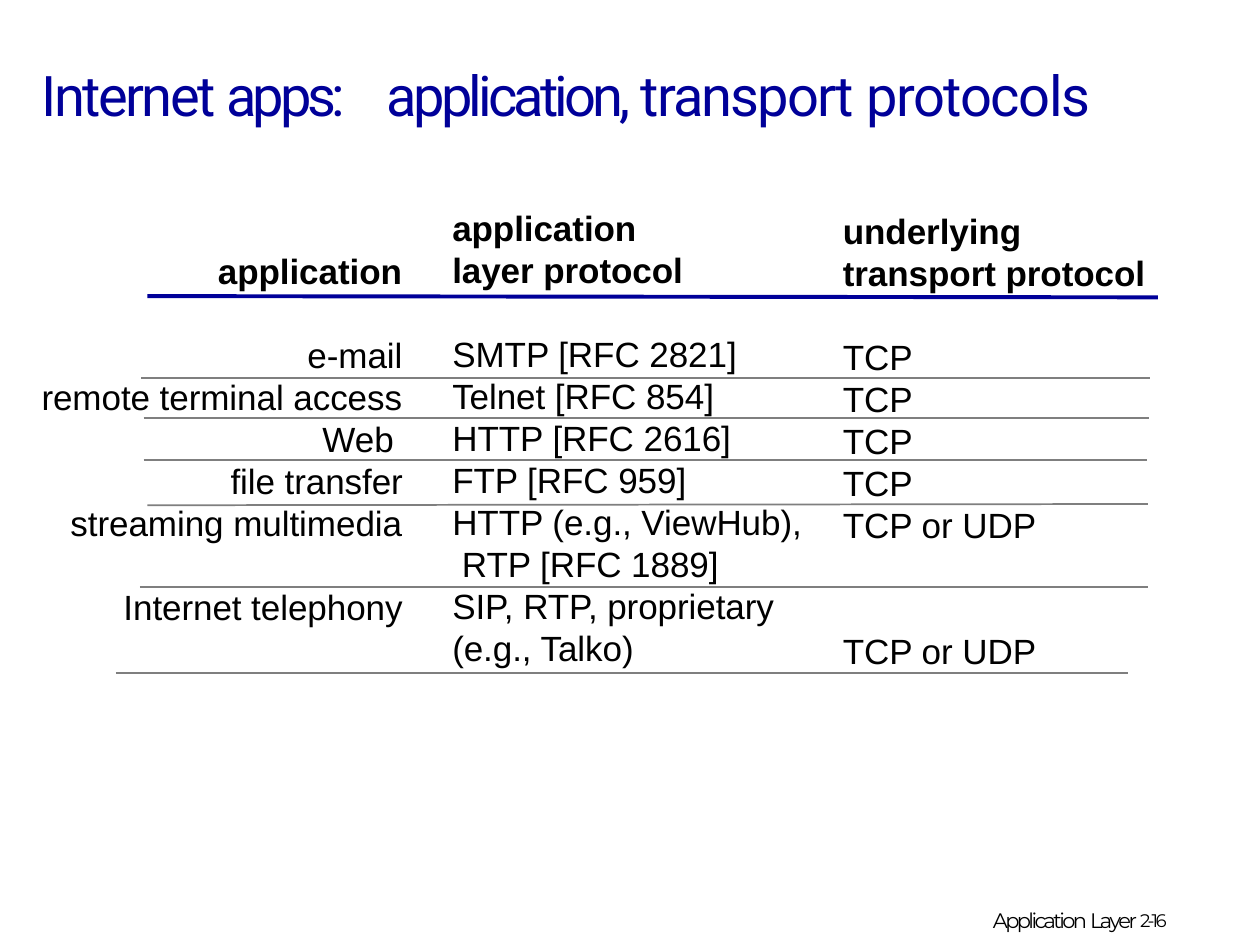
import pptx
import pptx.dml.color
import pptx.enum.shapes
import pptx.enum.text
import pptx.oxml
import pptx.oxml.ns
import pptx.util

Inches, Pt = pptx.util.Inches, pptx.util.Pt


class Theme:
    navy = pptx.dml.color.RGBColor(0x00, 0x00, 0x99)
    black = pptx.dml.color.RGBColor(0x00, 0x00, 0x00)
    gray = pptx.dml.color.RGBColor(0x7F, 0x7F, 0x7F)
    title = {"name": "Roboto", "size": Pt(32), "color": navy}
    body = {"name": "Arial", "size": Pt(20), "color": black}
    heading = {**body, "bold": True}
    footer = {"name": "Montserrat", "size": Pt(12), "color": black}
    page_number = {"size": Pt(18)}
    header_rule = {"color": navy, "width": Pt(2.25)}
    row_rule = {"color": gray, "width": Pt(1)}


class SlideBuilder:
    def __init__(self, slide, theme):
        self.slide = slide
        self.theme = theme

    def apply(self, target, values):
        for key, value in values.items():
            if key == "color":
                target.color.rgb = value
            else:
                setattr(target, key, value)

    def text(self, box, paragraphs, style, inset=0.01, before=1, leading=None, tab=None):
        """Each paragraph is a list of (text, spacing in 1/100 pt, extra font values, baseline)."""
        frame = self.slide.shapes.add_textbox(*map(Inches, box)).text_frame
        self.apply(frame, {
            "word_wrap": True, "margin_left": 0, "margin_right": 0,
            "margin_top": Inches(inset), "margin_bottom": 0,
            "auto_size": pptx.enum.text.MSO_AUTO_SIZE.SHAPE_TO_FIT_TEXT,
        })
        for number, runs in enumerate(paragraphs):
            paragraph = frame.add_paragraph() if number else frame.paragraphs[0]
            paragraph.space_before = Pt(0 if number else before)
            if leading:
                paragraph.line_spacing = leading
            properties = paragraph._p.get_or_add_pPr()
            properties.set("marL", str(Inches(0.01)))
            if tab:
                properties.append(pptx.oxml.parse_xml(
                    f'<a:tabLst {pptx.oxml.ns.nsdecls("a")}>'
                    f'<a:tab pos="{Inches(tab)}" algn="l"/></a:tabLst>'))
            for words, spacing, extra, baseline in runs:
                for index, line in enumerate(words.split("\v")):
                    if index:
                        paragraph.add_line_break()
                    run = paragraph.add_run()
                    run.text = line
                    self.apply(run.font, {**style, **extra})
                    run_properties = run._r.get_or_add_rPr()
                    run_properties.set("spc", str(spacing))
                    if baseline:
                        run_properties.set("baseline", str(baseline))

    def cell(self, left, top, width, words, style):
        """Table text on a fixed line pitch; \\n starts a paragraph, \\v a line."""
        lines = 1 + words.count("\n") + words.count("\v")
        paragraphs = [[(part, -6, {}, 0)] for part in words.split("\n")]
        self.text((left, top, width, lines * LINE_PITCH + 0.03), paragraphs, style,
                  leading=Pt(24))

    def rule(self, start, end, style):
        connector = self.slide.shapes.add_connector(
            pptx.enum.shapes.MSO_CONNECTOR.STRAIGHT, *map(Inches, start + end))
        self.apply(connector.line, style)
        connector._element.spPr.append(
            pptx.oxml.parse_xml(f'<a:effectLst {pptx.oxml.ns.nsdecls("a")}/>'))


LINE_PITCH = 1 / 3
APPLICATION_RIGHT, PROTOCOL_LEFT, TRANSPORT_LEFT = 3.22, 3.58, 6.68
APPLICATION_TOP, PROTOCOL_TOP, TRANSPORT_TOP = 2.64, 2.63, 2.65

# Each entry: line counted from the first body row, width, text.
APPLICATIONS = [
    (-2, 1.5, "application"),
    (0, 0.79, "e-mail"),
    (1, 2.9, "remote terminal access"),
    (2, 0.67, "Web"),
    (3, 1.4, "file transfer"),
    (4, 2.67, "streaming multimedia"),
    (6, 2.25, "Internet telephony"),
]
PROTOCOLS = [
    (-3, 1.86, "application\vlayer protocol"),
    (0, 2.3, "SMTP [RFC 2821]\nTelnet [RFC 854]"),
    (2, 2.25, "HTTP [RFC 2616]"),
    (3, 1.9, "FTP [RFC 959]"),
    (4, 2.84, "HTTP (e.g., ViewHub),\v RTP [RFC 1889]"),
    (6, 2.67, "SIP, RTP, proprietary\v(e.g., Talko)"),
]
TRANSPORTS = [
    (-3, 2.44, "underlying\vtransport protocol"),
    *[(line, 0.58, "TCP") for line in range(4)],
    *[(line, 1.57, "TCP or UDP") for line in (4, 7)],
]
ROW_RULES = [
    ((1.12, 3), (9.13, 3)),
    ((1.14, 3.32), (9.12, 3.32)),
    ((1.14, 3.65), (9.1, 3.65)),
    ((1.17, 4.01), (9.11, 4)),
    ((1.11, 4.66), (9.11, 4.66)),
    ((0.92, 5.34), (8.95, 5.34)),
]


def main():
    deck = pptx.Presentation()
    deck.slide_width, deck.slide_height = Inches(10), Inches(7.5)
    theme = Theme()
    builder = SlideBuilder(deck.slides.add_slide(deck.slide_layouts[6]), theme)

    title_runs = [("Internet ", -150), ("apps:\t", -250), ("application, ", -220),
                  ("transport ", -110), ("protocols", -80)]
    builder.text((0.32, 0.47, 8.48, 0.56),
                 [[(words, spacing, {}, 0) for words, spacing in title_runs]],
                 theme.title, tab=2.74)

    columns = [(APPLICATIONS, None, APPLICATION_TOP),
               (PROTOCOLS, PROTOCOL_LEFT, PROTOCOL_TOP),
               (TRANSPORTS, TRANSPORT_LEFT, TRANSPORT_TOP)]
    for entries, column_left, first_top in columns:
        for line, width, words in entries:
            left = APPLICATION_RIGHT - width if column_left is None else column_left
            style = theme.heading if line < 0 else theme.body
            builder.cell(left, first_top + line * LINE_PITCH, width, words, style)

    builder.rule((1.17, 2.35), (9.19, 2.36), theme.header_rule)
    for start, end in ROW_RULES:
        builder.rule(start, end, theme.row_rule)

    builder.text((7.87, 7.09, 1.71, 0.26),
                 [[("Application ", -150, {}, 0), ("Layer ", -140, {}, 0),
                   ("2-16", -150, theme.page_number, 2000)]],
                 theme.footer, inset=0.03, before=2.2)
    deck.save("out.pptx")


if __name__ == "__main__":
    main()
